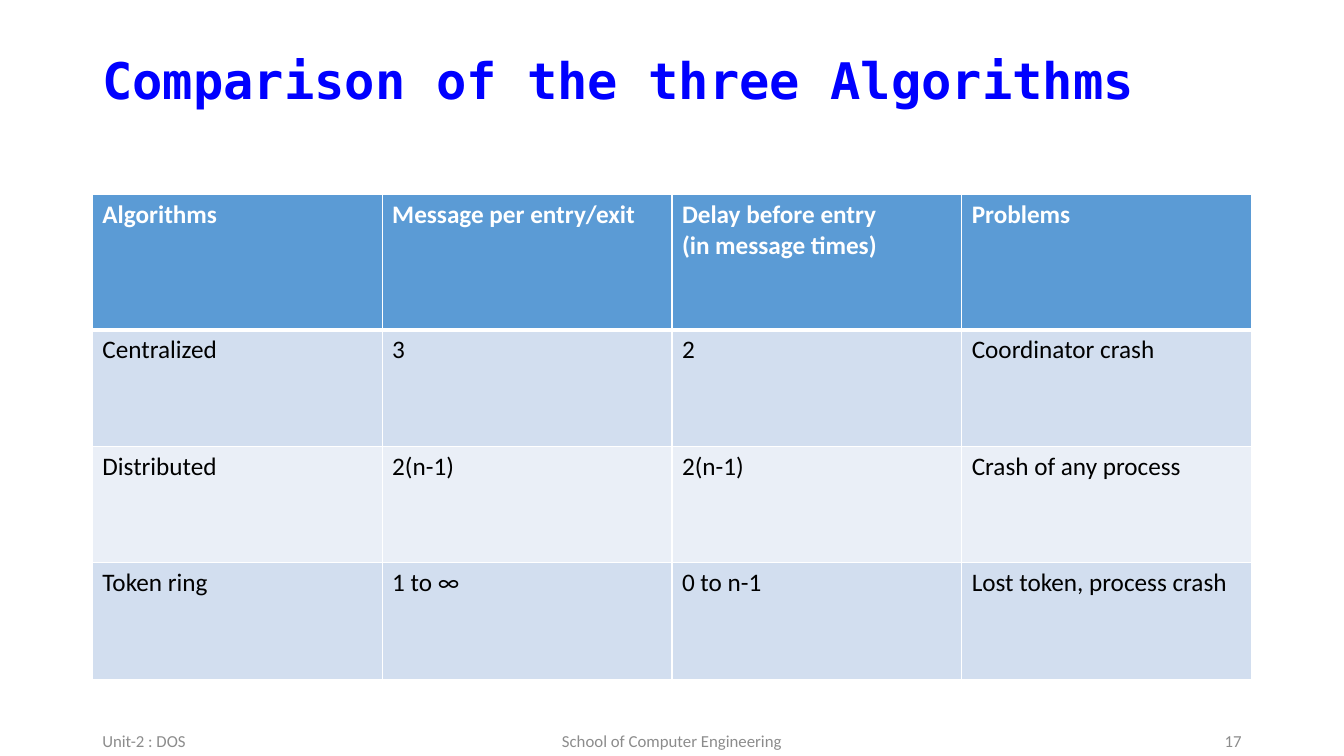
from dataclasses import dataclass

from pptx import Presentation
from pptx.dml.color import RGBColor
from pptx.enum.text import MSO_ANCHOR, PP_ALIGN
from pptx.oxml import parse_xml
from pptx.oxml.ns import nsdecls
from pptx.util import Pt

PX = 9525
LEFT, CENTER, RIGHT = PP_ALIGN.LEFT, PP_ALIGN.CENTER, PP_ALIGN.RIGHT
MIDDLE = MSO_ANCHOR.MIDDLE
COLORS = {
    "white": "FFFFFF",
    "black": "000000",
    "title": "0000FF",
    "footer": "8C8C8C",
    "header": "5B9BD5",
    "band_dark": "D2DEEF",
    "band_light": "EAEFF7",
}
TABLE_X, TABLE_Y, TABLE_W = 88, 185, 1104
HEADER_H, BODY_H = 129, 111
ROWS = [
    ["Algorithms", "Message per entry/exit", "Delay before entry\n(in message times)", "Problems"],
    ["Centralized", "3", "2", "Coordinator crash"],
    ["Distributed", "2(n-1)", "2(n-1)", "Crash of any process"],
    ["Token ring", "1 to ∞", "0 to n-1", "Lost token, process crash"],
]


@dataclass
class Label:
    text: str
    x: int
    y: int
    w: int
    h: int
    align: PP_ALIGN = LEFT
    size: int = 12
    font: str = "Calibri"
    color: str = "footer"
    bold: bool = False
    fill: str | None = None
    spacing: float = 1.0


LABELS = [
    Label("Comparison of the three Algorithms", 88, 38, 1104, 82, size=36,
          font="DejaVu Sans Mono", color="title", bold=True, fill="white", spacing=0.9),
    Label("Unit-2 : DOS", 88, 691, 288, 29),
    Label("School of Computer Engineering", 424, 691, 432, 29, CENTER),
    Label("17", 904, 691, 288, 29, RIGHT),
]


def rgb(name: str) -> RGBColor:
    return RGBColor.from_string(COLORS[name])


def style(p, size: int, font: str, color: str, bold: bool) -> None:
    p.font.size = Pt(size)
    p.font.name = font
    p.font.color.rgb = rgb(color)
    p.font.bold = bold


def add_label(slide, label: Label) -> None:
    sp = slide.shapes.add_textbox(*(v * PX for v in (label.x, label.y, label.w, label.h)))
    if label.fill:
        sp.fill.solid()
        sp.fill.fore_color.rgb = rgb(label.fill)
    tf = sp.text_frame
    tf.word_wrap = True
    tf.vertical_anchor = MIDDLE
    p = tf.paragraphs[0]
    p.text = label.text
    p.alignment = label.align
    p.line_spacing = label.spacing
    style(p, label.size, label.font, label.color, label.bold)


def add_borders(cell, top: int, bottom: int) -> None:
    tc_pr = cell._tc.get_or_add_tcPr()
    for side, width in {"L": 1, "R": 1, "T": top, "B": bottom}.items():
        tc_pr.append(parse_xml(
            f'<a:ln{side} {nsdecls("a")} w="{Pt(width)}"><a:solidFill>'
            f'<a:srgbClr val="{COLORS["white"]}"/></a:solidFill></a:ln{side}>'))


def add_comparison_table(slide, rows: list[list[str]]) -> None:
    heights = [HEADER_H] + [BODY_H] * (len(rows) - 1)
    columns = len(rows[0])
    frame = slide.shapes.add_table(len(rows), columns, TABLE_X * PX, TABLE_Y * PX,
                                   TABLE_W * PX, sum(heights) * PX)
    table = frame.table
    for column in table.columns:
        column.width = TABLE_W // columns * PX
    for i, (texts, height) in enumerate(zip(rows, heights)):
        table.rows[i].height = height * PX
        header = i == 0
        fill = "header" if header else "band_dark" if i % 2 else "band_light"
        for cell, text in zip(table.rows[i].cells, texts):
            add_borders(cell, top=3 if i == 1 else 1, bottom=3 if header else 1)
            cell.fill.solid()
            cell.fill.fore_color.rgb = rgb(fill)
            cell.text = text
            for p in cell.text_frame.paragraphs:
                style(p, 18, "Calibri", "white" if header else "black", header)


def main() -> None:
    prs = Presentation()
    prs.slide_width, prs.slide_height = 1280 * PX, 720 * PX
    slide = prs.slides.add_slide(prs.slide_layouts[6])
    title, *footers = LABELS
    add_label(slide, title)
    add_comparison_table(slide, ROWS)
    for footer in footers:
        add_label(slide, footer)
    prs.save("out.pptx")


if __name__ == "__main__":
    main()
